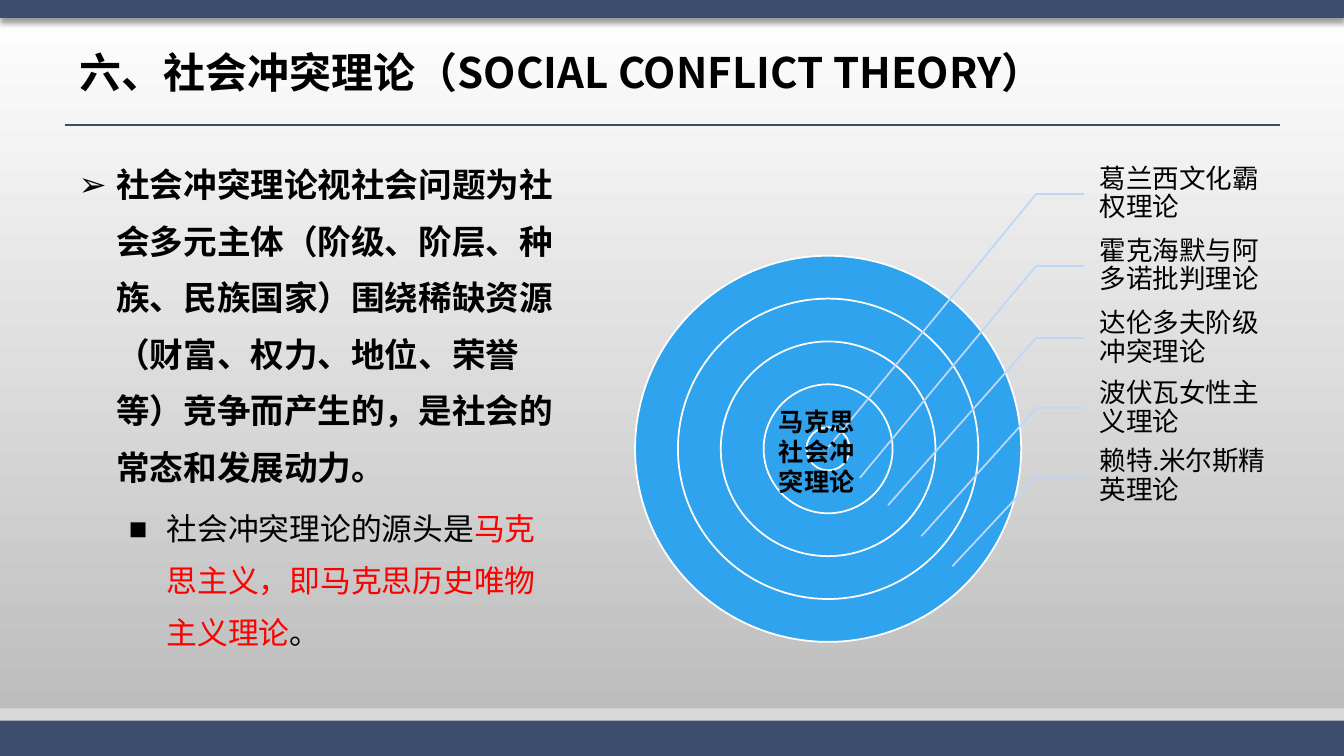
from lxml.etree import SubElement
from pptx import Presentation
from pptx.dml.color import RGBColor
from pptx.enum.shapes import MSO_CONNECTOR, MSO_SHAPE
from pptx.enum.text import MSO_ANCHOR, MSO_AUTO_SIZE, PP_ALIGN
from pptx.oxml.ns import qn
from pptx.util import Cm, Pt

COLORS = {
    "white": "FFFFFF", "gray": "B9B9B9", "pale": "D9D9D9", "navy": "3D4D6E",
    "blue": "2FA3EE", "sky": "BED7F7", "black": "000000", "red": "FF0000",
}
HEAD = "Noto Sans CJK SC"
BODY = "Calibri"
WIDE, HIGH = 33.87, 19.05


def color(name):
    return RGBColor.from_string(COLORS[name])


class Deck:
    def __init__(self):
        self.show = Presentation()
        self.show.slide_width = Cm(WIDE)
        self.show.slide_height = Cm(HIGH)
        self.slide = self.show.slides.add_slide(self.show.slide_layouts[5])
        self.shapes = self.slide.shapes

    def back(self, top, base):
        fill = self.slide.background.fill
        fill.gradient()
        fill.gradient_angle = 270
        for stop, name, spot in zip(fill.gradient_stops, (top, base), (0, 1)):
            stop.color.rgb = color(name)
            stop.position = spot

    def place(self, shape, x, y, w, h):
        shape.left, shape.top, shape.width, shape.height = map(Cm, (x, y, w, h))

    def style(self, para, size, face, bold=False, space=1.0):
        para.alignment = PP_ALIGN.LEFT
        para.line_spacing = space
        font = para.font
        font.size, font.name, font.bold = Pt(size), face, bold
        font.color.rgb = color("black")
        SubElement(font._element, qn("a:ea")).set("typeface", HEAD)

    def title(self, text, x, y, w, h):
        shape = self.shapes.title
        self.place(shape, x, y, w, h)
        frame = shape.text_frame
        frame.text = text
        frame.word_wrap = True
        frame.vertical_anchor = MSO_ANCHOR.MIDDLE
        self.style(frame.paragraphs[0], 30, HEAD, True, 0.9)

    def frame(self, x, y, w, h):
        frame = self.shapes.add_textbox(*map(Cm, (x, y, w, h))).text_frame
        frame.word_wrap = True
        return frame

    def shape(self, kind, x, y, w, h, fill, edge=None):
        shape = self.shapes.add_shape(kind, *map(Cm, (x, y, w, h)))
        shape.shadow.inherit = False
        shape.fill.solid()
        shape.fill.fore_color.rgb = color(fill)
        if edge:
            shape.line.color.rgb = color(edge)
            shape.line.width = Pt(1.25)
        else:
            shape.line.fill.background()
        return shape

    def bar(self, y, h, fill):
        return self.shape(MSO_SHAPE.RECTANGLE, 0, y, WIDE, h, fill)

    def shade(self, shape):
        glow = SubElement(shape._element.spPr.find(qn("a:effectLst")), qn("a:outerShdw"),
                          blurRad=str(Pt(4)), dist=str(Pt(3)), dir="5400000",
                          algn="t", rotWithShape="0")
        tint = SubElement(glow, qn("a:srgbClr"), val=COLORS["black"])
        SubElement(tint, qn("a:alpha"), val="40000")

    def ring(self, x, y, size):
        self.shape(MSO_SHAPE.OVAL, x - size / 2, y - size / 2, size, size, "blue", "white")

    def line(self, start, end, name, width):
        line = self.shapes.add_connector(MSO_CONNECTOR.STRAIGHT, *map(Cm, start + end))
        line.line.color.rgb = color(name)
        line.line.width = Pt(width)
        SubElement(line._element.spPr, qn("a:effectLst"))

    def point(self, para, mark, level, inset, size, bold, parts):
        para.level = level
        props = para._p.get_or_add_pPr()
        props.set("marL", str(Cm(inset)))
        props.set("indent", str(Cm(-0.95)))
        tint = SubElement(props, qn("a:buClr"))
        SubElement(tint, qn("a:srgbClr"), val=COLORS["black"])
        SubElement(props, qn("a:buFont"), typeface="Arial")
        SubElement(props, qn("a:buChar"), char=mark)
        para.space_after = Pt(6)
        self.style(para, size, HEAD, bold, 1.4)
        for text, name in parts:
            run = para.add_run()
            run.text = text
            if name != "black":
                run.font.color.rgb = color(name)

    def label(self, text, y, tip):
        bend, stop, high = 26.11, 27.33, 1.72
        frame = self.frame(stop, y - high / 2, 4.85, high)
        frame.margin_left = Cm(0.38)
        frame.margin_right = frame.margin_top = frame.margin_bottom = Cm(0.08)
        frame.vertical_anchor = MSO_ANCHOR.MIDDLE
        frame.text = text
        self.style(frame.paragraphs[0], 19, BODY, space=0.9)
        self.line((bend, y), (stop, y), "sky", 1.25)
        self.line((bend, y), tip, "sky", 1.25)

    def note(self, text, x, y, w, h):
        frame = self.frame(x, y, w, h)
        frame.auto_size = MSO_AUTO_SIZE.SHAPE_TO_FIT_TEXT
        frame.text = text
        self.style(frame.paragraphs[0], 18, BODY, True)


def main():
    deck = Deck()
    deck.back("white", "gray")
    deck.title("六、社会冲突理论（SOCIAL CONFLICT THEORY）", 1.75, 0.89, 30.43, 2.01)
    deck.bar(17.85, 0.89, "pale")
    deck.bar(18.16, 0.89, "navy")

    frame = deck.frame(1.73, 3.61, 12.73, 13.54)
    deck.point(frame.paragraphs[0], "➢", 0, 0.95, 24, True, [
        ("社会冲突理论视社会问题为社会多元主体（阶级、阶层、种族、民族国家）"
         "围绕稀缺资源（财富、权力、地位、荣誉等）竞争而产生的，"
         "是社会的常态和发展动力。", "black")])
    deck.point(frame.add_paragraph(), "■", 1, 2.22, 22, False, [
        ("社会冲突理论的源头是", "black"),
        ("马克思主义，即马克思历史唯物主义理论", "red"),
        ("。", "black")])

    deck.line((1.65, 3.15), (32.26, 3.15), "navy", 0.75)
    deck.shade(deck.bar(0, 0.45, "navy"))

    for step in range(5):
        deck.ring(20.87, 11.31, 9.73 - 2.16 * step)

    labels = [
        ("葛兰西文化霸权理论", 4.89, (20.85, 11.3)),
        ("霍克海默与阿多诺批判理论", 6.7, (21.67, 12.04)),
        ("达伦多夫阶级冲突理论", 8.52, (22.38, 12.73)),
        ("波伏瓦女性主义理论", 10.29, (23.22, 13.51)),
        ("赖特.米尔斯精英理论", 12.01, (24.0, 14.27)),
    ]
    for text, y, tip in labels:
        deck.label(text, y, tip)
    deck.note("马克思社会冲突理论", 19.38, 10.11, 2.64, 2.57)
    deck.show.save("out.pptx")


if __name__ == "__main__":
    main()
